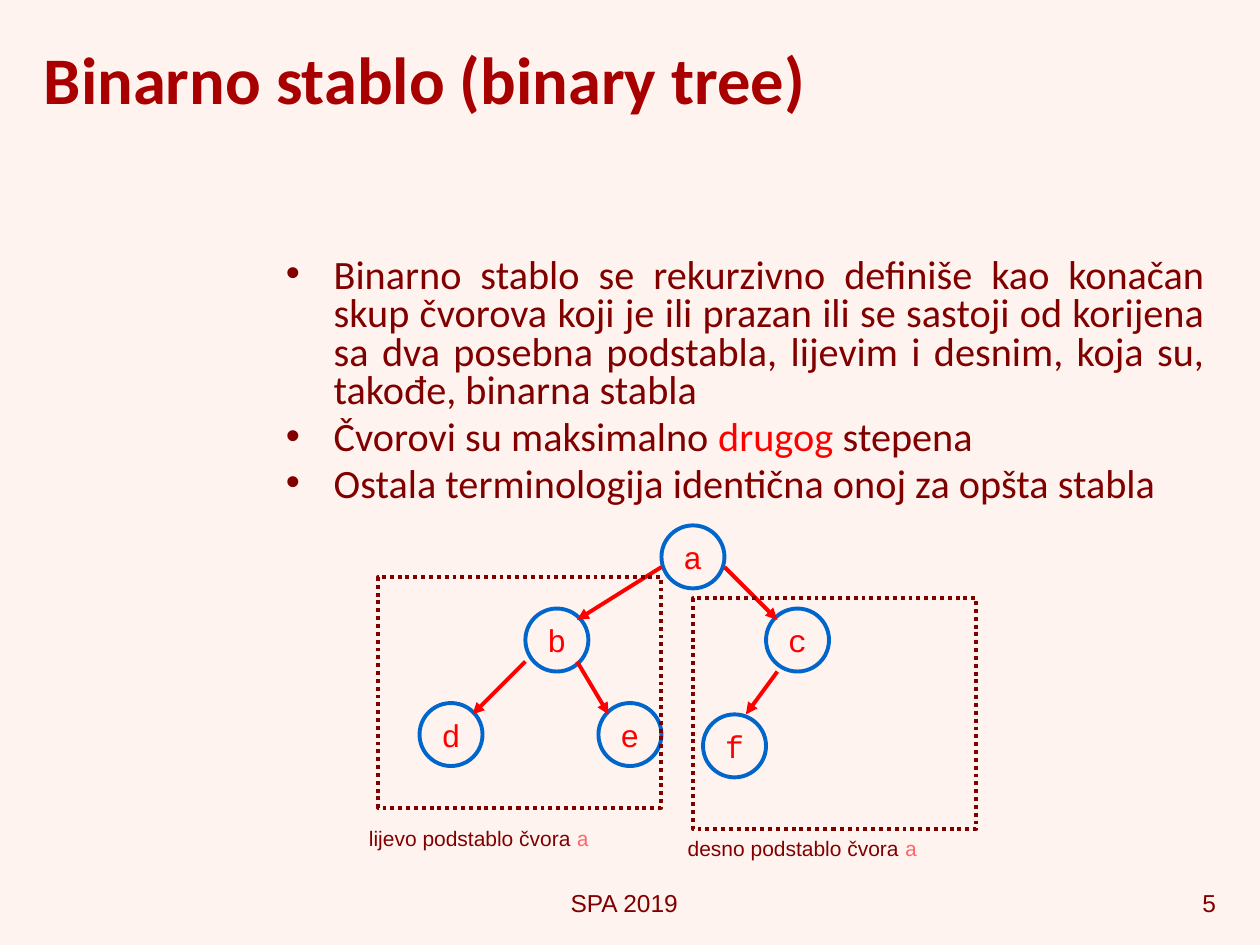
from dataclasses import dataclass

from lxml import etree
from pptx import Presentation
from pptx import util as u
from pptx.dml.color import RGBColor
from pptx.enum import dml, shapes, text
from pptx.oxml.ns import qn


@dataclass(frozen=True)
class Theme:
    back: str = "FFF3EF"
    title: str = "A80000"
    body: str = "800000"
    accent: str = "FF0000"
    soft: str = "FF6767"
    ring: str = "0066CC"
    head_font: str = "Calibri"
    note_font: str = "Arial"
    node_font: str = "Courier New"
    title_size: float = 38
    body_size: float = 23
    node_size: float = 18
    foot_size: float = 14
    note_size: float = 12
    line: float = 2.25
    node: float = 0.5


def rgb(value):
    return RGBColor.from_string(value)


def add_run(p, content, font, size, color, bold=False):
    r = p.add_run()
    r.text = content
    r.font.name = font
    r.font.size = u.Pt(size)
    r.font.bold = bold
    r.font.color.rgb = rgb(color)


class Deck:
    def __init__(self, theme):
        self.t = theme
        self.prs = Presentation()
        self.prs.slide_width = u.Inches(10)
        self.prs.slide_height = u.Inches(7.5)
        self.s = self.prs.slides.add_slide(self.prs.slide_layouts[6])
        self.s.background.fill.solid()
        self.s.background.fill.fore_color.rgb = rgb(theme.back)

    def box(self, x, y, w, h, wrap=True, anchor=text.MSO_ANCHOR.TOP):
        sp = self.s.shapes.add_textbox(*map(u.Inches, (x, y, w, h)))
        tf = sp.text_frame
        tf.word_wrap = wrap
        tf.vertical_anchor = anchor
        return tf

    def title(self, content, *at):
        tf = self.box(*at, anchor=text.MSO_ANCHOR.MIDDLE)
        add_run(tf.paragraphs[0], content, self.t.head_font, self.t.title_size, self.t.title, bold=True)

    def footer(self, content, align, *at):
        p = self.box(*at).paragraphs[0]
        p.alignment = align
        add_run(p, content, self.t.note_font, self.t.foot_size, self.t.body)

    def bullets(self, items, *at):
        tf = self.box(*at)
        for i, (align, runs) in enumerate(items):
            p = tf.add_paragraph() if i else tf.paragraphs[0]
            p.alignment = align
            p.line_spacing = 0.8
            p.space_before = u.Pt(0.2 * self.t.body_size if i else 0)
            pr = p._p.get_or_add_pPr()
            pr.set("marL", str(u.Inches(0.38)))
            pr.set("indent", str(-u.Inches(0.38)))
            etree.SubElement(pr, qn("a:buFont"), typeface="Arial")
            etree.SubElement(pr, qn("a:buChar"), char="•")
            for content, color in runs:
                add_run(p, content, self.t.head_font, self.t.body_size, color)

    def outline(self, kind, color, *at):
        sp = self.s.shapes.add_shape(kind, *map(u.Inches, at))
        sp.shadow.inherit = False
        sp.fill.background()
        sp.line.color.rgb = rgb(color)
        sp.line.width = u.Pt(self.t.line)
        return sp

    def node(self, name, x, y):
        sp = self.outline(shapes.MSO_SHAPE.OVAL, self.t.ring, x, y, self.t.node, self.t.node)
        sp.fill.solid()
        sp.fill.fore_color.rgb = rgb(self.t.back)
        tf = sp.text_frame
        tf.word_wrap = False
        tf.vertical_anchor = text.MSO_ANCHOR.MIDDLE
        p = tf.paragraphs[0]
        p.alignment = text.PP_ALIGN.CENTER
        add_run(p, name, self.t.node_font, self.t.node_size, self.t.accent)

    def arrow(self, *ends):
        cx = self.s.shapes.add_connector(shapes.MSO_CONNECTOR.STRAIGHT, *map(u.Inches, ends))
        cx.line.color.rgb = rgb(self.t.accent)
        cx.line.width = u.Pt(self.t.line)
        etree.SubElement(cx.line._get_or_add_ln(), qn("a:tailEnd"), type="triangle")
        etree.SubElement(cx._element.spPr, qn("a:effectLst"))

    def frame(self, x, y):
        sp = self.outline(shapes.MSO_SHAPE.RECTANGLE, self.t.body, x, y, 2.25, 1.83)
        sp.line.dash_style = dml.MSO_LINE.ROUND_DOT

    def caption(self, content, root, *at):
        tf = self.box(*at, wrap=False)
        tf.auto_size = text.MSO_AUTO_SIZE.SHAPE_TO_FIT_TEXT
        p = tf.paragraphs[0]
        add_run(p, content, self.t.note_font, self.t.note_size, self.t.body)
        add_run(p, root, self.t.node_font, self.t.note_size, self.t.soft)


def main():
    t = Theme()
    deck = Deck(t)
    align = text.PP_ALIGN
    deck.footer("SPA 2019", align.CENTER, 3.74, 7, 2.43, 0.33)
    deck.footer("5", align.RIGHT, 7.75, 7, 2, 0.33)
    deck.title("Binarno stablo (binary tree)", 0.25, 0.08, 9.5, 1.08)
    deck.bullets([
        (align.JUSTIFY, [("Binarno stablo se rekurzivno definiše kao konačan skup čvorova koji je "
                          "ili prazan ili se sastoji od korijena sa dva posebna podstabla, lijevim "
                          "i desnim, koja su, takođe, binarna stabla", t.body)]),
        (align.JUSTIFY, [("Čvorovi su maksimalno ", t.body), ("drugog", t.accent),
                         (" stepena", t.body)]),
        (align.LEFT, [("Ostala terminologija identična onoj za opšta stabla", t.body)]),
    ], 2.17, 2, 7.5, 2.08)

    nodes = {"a": (5.25, 4.17), "b": (4.17, 4.83), "c": (6.08, 4.83),
             "d": (3.33, 5.58), "e": (4.75, 5.58), "f": (5.58, 5.67)}
    for name, at in nodes.items():
        deck.node(name, *at)
    for ends in [(5.25, 4.5, 4.58, 4.92), (4.17, 5.25, 3.75, 5.67), (4.58, 5.25, 4.83, 5.67),
                 (6.17, 5.33, 5.92, 5.67), (5.75, 4.5, 6.17, 4.92)]:
        deck.arrow(*ends)

    deck.frame(3, 4.58)
    deck.frame(5.5, 4.75)
    deck.caption("lijevo podstablo čvora ", "a", 2.83, 6.5, 2.43, 0.3)
    deck.caption("desno podstablo čvora ", "a", 5.36, 6.58, 2.47, 0.3)
    deck.prs.save("out.pptx")


if __name__ == "__main__":
    main()
